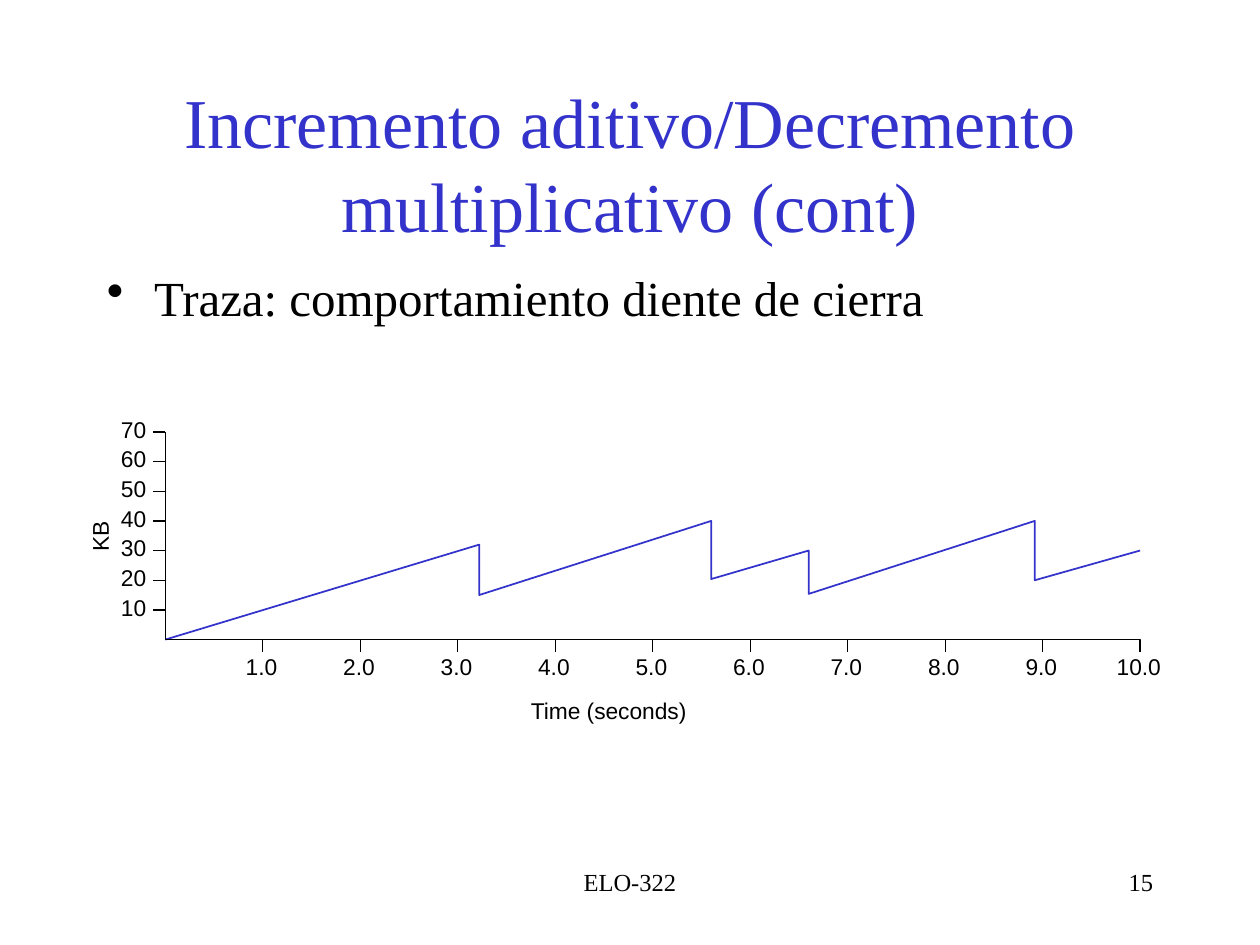
from dataclasses import dataclass

import lxml.etree
import pptx
import pptx.dml.color
import pptx.enum.shapes
import pptx.enum.text
import pptx.oxml.ns
import pptx.util

Pt = pptx.util.Pt
ALIGN = pptx.enum.text.PP_ALIGN
ANCHOR = pptx.enum.text.MSO_ANCHOR
SERIF, SANS = "Times New Roman", "Arial"
BLUE, BLACK = "3333CC", "000000"
ORIGIN_X, SECOND_WIDTH = 94.5, 55.7
ORIGIN_Y, KB_HEIGHT = 365.5, 1.695
TICK = 7
TRACE = [(0, 0), (3.22, 32), (3.22, 15), (5.6, 40), (5.6, 20.4), (6.6, 30),
         (6.6, 15.4), (8.92, 40), (8.92, 20), (10, 30)]


@dataclass
class Label:
    text: str
    left: float
    top: float
    width: float
    height: float = 15.84
    align: ALIGN = ALIGN.CENTER
    size: float = 13
    font: str = SANS
    margin_x: float = 0
    margin_y: float = 0
    wrap: bool = False
    rotation: float = 0


def rgb(color: str):
    return pptx.dml.color.RGBColor.from_string(color)


def x_at(seconds: float) -> float:
    return ORIGIN_X + seconds * SECOND_WIDTH


def y_at(kilobytes: float) -> float:
    return ORIGIN_Y - kilobytes * KB_HEIGHT


def style_text(paragraph, font: str, size: float, color: str, align: ALIGN):
    paragraph.alignment = align
    for run in paragraph.runs:
        run.font.name = font
        run.font.size = Pt(size)
        run.font.color.rgb = rgb(color)


def add_label(slide, label: Label):
    shape = slide.shapes.add_textbox(Pt(label.left), Pt(label.top), Pt(label.width), Pt(label.height))
    shape.rotation = label.rotation
    frame = shape.text_frame
    frame.word_wrap = label.wrap
    frame.margin_left = frame.margin_right = Pt(label.margin_x)
    frame.margin_top = frame.margin_bottom = Pt(label.margin_y)
    frame.text = label.text
    paragraph = frame.paragraphs[0]
    style_text(paragraph, label.font, label.size, BLACK, label.align)
    return paragraph


def add_bullet(paragraph):
    properties = paragraph._p.get_or_add_pPr()
    properties.set("marL", str(Pt(27)))
    properties.set("indent", str(-Pt(27)))
    bullet = lxml.etree.SubElement(properties, pptx.oxml.ns.qn("a:buChar"))
    bullet.set("char", "•")


def add_tick(slide, start_x: float, start_y: float, end_x: float, end_y: float):
    tick = slide.shapes.add_connector(
        pptx.enum.shapes.MSO_CONNECTOR.STRAIGHT, Pt(start_x), Pt(start_y), Pt(end_x), Pt(end_y))
    tick.line.color.rgb = rgb(BLACK)
    tick.line.width = Pt(0.75)
    lxml.etree.SubElement(tick._element.spPr, pptx.oxml.ns.qn("a:effectLst"))


def add_polyline(slide, points: list[tuple[float, float]], color: str, width: float):
    vertices = [(Pt(x), Pt(y)) for x, y in points]
    builder = slide.shapes.build_freeform(*vertices[0])
    builder.add_line_segments(vertices[1:], close=False)
    shape = builder.convert_to_shape()
    shape.shadow.inherit = False
    shape.fill.background()
    shape.line.color.rgb = rgb(color)
    shape.line.width = Pt(width)


def add_title(slide, text: str):
    title = slide.shapes.title
    title.left, title.top, title.width, title.height = Pt(54), Pt(48), Pt(612), Pt(90)
    frame = title.text_frame
    frame.text = text
    frame.word_wrap = True
    frame.auto_size = pptx.enum.text.MSO_AUTO_SIZE.NONE
    frame.vertical_anchor = ANCHOR.MIDDLE
    style_text(frame.paragraphs[0], SERIF, 40, BLUE, ALIGN.CENTER)


def add_sawtooth(slide):
    for kilobytes in range(10, 71, 10):
        y = y_at(kilobytes)
        add_label(slide, Label(str(kilobytes), 69.1, y - 9.4, 14.4))
        add_tick(slide, ORIGIN_X - TICK, y, ORIGIN_X, y)
    for seconds in range(1, 11):
        x = x_at(seconds)
        width = 18 if seconds < 10 else 25.2
        add_label(slide, Label(f"{seconds}.0", x - width / 2 - 0.8, 373, width))
        if seconds < 10:
            add_tick(slide, x, ORIGIN_Y + TICK, x, ORIGIN_Y)
    add_label(slide, Label("KB", 48.5, 298.8, 17.3, rotation=270))
    add_label(slide, Label("Time (seconds)", 303.1, 398.2, 89.3))
    add_polyline(slide, [(x_at(seconds), y_at(kilobytes)) for seconds, kilobytes in TRACE], BLUE, 1)
    axes = [(ORIGIN_X, y_at(70)), (ORIGIN_X, ORIGIN_Y), (x_at(10), ORIGIN_Y), (x_at(10), ORIGIN_Y + TICK)]
    add_polyline(slide, axes, BLACK, 0.75)


def main():
    presentation = pptx.Presentation()
    presentation.slide_width, presentation.slide_height = Pt(720), Pt(540)
    slide = presentation.slides.add_slide(presentation.slide_layouts[5])
    add_title(slide, "Incremento aditivo/Decremento multiplicativo (cont)")
    serif_box = {"font": SERIF, "margin_x": 7.2, "margin_y": 3.6, "wrap": True}
    body = add_label(slide, Label("Traza: comportamiento diente de cierra", 54, 156, 612, 324,
                                  ALIGN.LEFT, 28, **serif_box))
    body.line_spacing = 0.8
    body.space_before = Pt(7)
    add_bullet(body)
    add_sawtooth(slide)
    add_label(slide, Label("ELO-322", 246, 492, 228, 36, ALIGN.CENTER, 14, **serif_box))
    add_label(slide, Label("15", 516, 492, 150, 36, ALIGN.RIGHT, 14, **serif_box))
    presentation.save("out.pptx")


if __name__ == "__main__":
    main()
